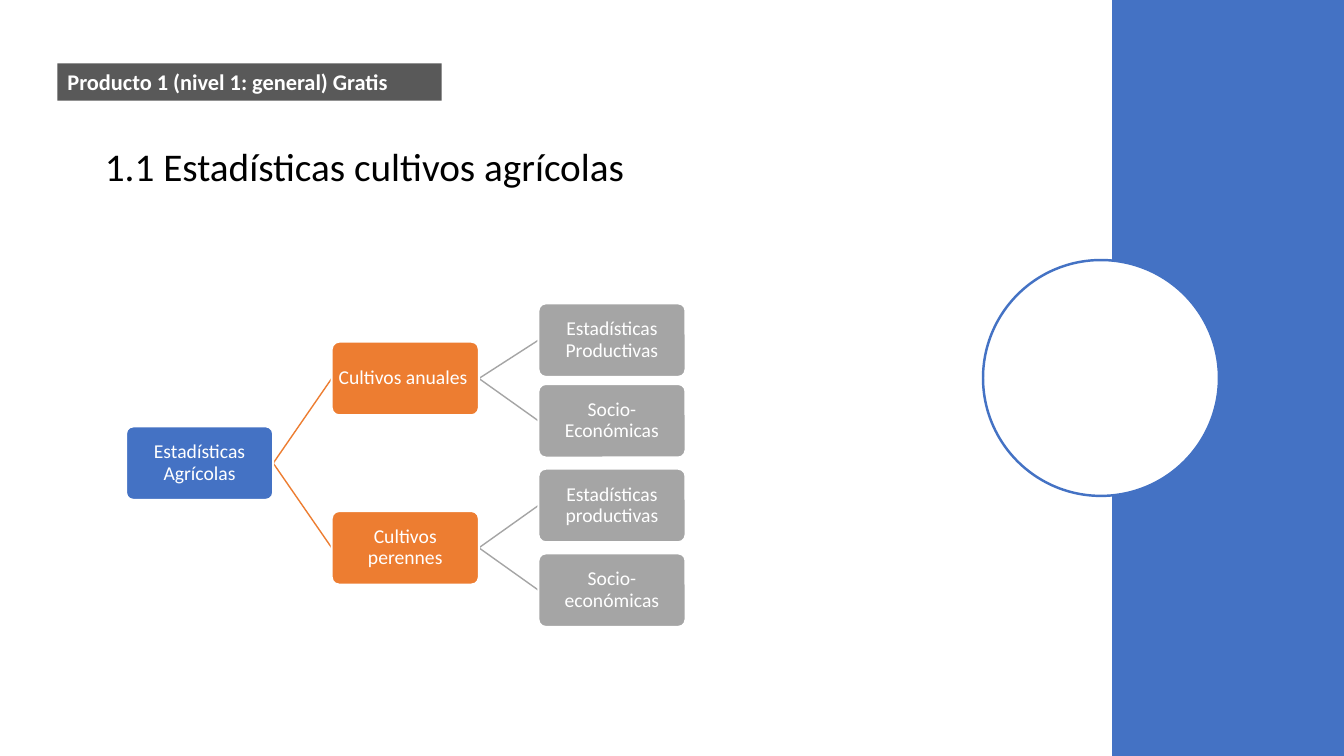
from lxml.etree import SubElement
from pptx import Presentation
from pptx.dml.color import RGBColor
from pptx.enum.shapes import MSO_CONNECTOR, MSO_SHAPE
from pptx.enum.text import MSO_ANCHOR, MSO_AUTO_SIZE, PP_ALIGN
from pptx.oxml.ns import qn
from pptx.util import Inches, Pt

THEME = {
    "font": "Calibri",
    "black": RGBColor.from_string("000000"),
    "white": RGBColor.from_string("FFFFFF"),
    "blue": RGBColor.from_string("4472C4"),
    "orange": RGBColor.from_string("ED7D31"),
    "gray": RGBColor.from_string("A5A5A5"),
    "dark": RGBColor.from_string("595959"),
    "title": Pt(28),
    "label": Pt(16),
    "node": Pt(14),
}


def write(tf, text, size, color="white", bold=False, align=PP_ALIGN.LEFT,
          anchor=MSO_ANCHOR.MIDDLE, spacing=0.9, after=0):
    tf.word_wrap = True
    tf.auto_size = MSO_AUTO_SIZE.NONE
    tf.vertical_anchor = anchor
    p = tf.paragraphs[0]
    p.alignment = align
    p.line_spacing = spacing
    p.space_before = Pt(0)
    p.space_after = Pt(after)
    r = p.add_run()
    r.text = text
    r.font.name = THEME["font"]
    r.font.size = THEME[size]
    r.font.bold = bold
    r.font.color.rgb = THEME[color]


def add_box(s, kind, box, fill, line=None, width=0):
    sp = s.shapes.add_shape(kind, *[Inches(v) for v in box])
    sp.shadow.inherit = False
    sp.fill.solid()
    sp.fill.fore_color.rgb = THEME[fill]
    if line:
        sp.line.color.rgb = THEME[line]
        sp.line.width = Pt(width)
    else:
        sp.line.fill.background()
    return sp


prs = Presentation()
prs.slide_width = Inches(13.33)
prs.slide_height = Inches(7.5)
s = prs.slides.add_slide(prs.slide_layouts[5])

title = s.shapes.title
title.left, title.top = Inches(0.94), Inches(1.23)
title.width, title.height = Inches(8.17), Inches(0.88)
write(title.text_frame, "1.1 Estadísticas cultivos agrícolas", "title", color="black")

add_box(s, MSO_SHAPE.RECTANGLE, (11.03, 0, 2.3, 7.5), "blue")
add_box(s, MSO_SHAPE.OVAL, (9.75, 2.58, 2.34, 2.34), "white", "blue", 1.75)
label = add_box(s, MSO_SHAPE.RECTANGLE, (0.57, 0.63, 3.81, 0.37), "dark")
write(label.text_frame, "Producto 1 (nivel 1: general) Gratis", "label", bold=True,
      anchor=MSO_ANCHOR.TOP, spacing=1.0, after=6)

node_w, node_h = 1.46, 0.73
levels = [(1.25, "blue"), (3.29, "orange"), (5.34, "gray")]
tree = [
    ("Estadísticas Agrícolas", 0, 4.23),
    ("Cultivos anuales ", 1, 3.39),
    ("Estadísticas Productivas", 2, 3.01),
    ("Socio-Económicas", 2, 3.81),
    ("Cultivos perennes", 1, 5.07),
    ("Estadísticas productivas", 2, 4.65),
    ("Socio-económicas", 2, 5.49),
]
right_side, left_side = 3, 1
latest = {}
for text, level, top in tree:
    left, color = levels[level]
    node = add_box(s, MSO_SHAPE.ROUNDED_RECTANGLE, (left, top, node_w, node_h),
                   color, "white", 1.5)
    node.adjustments[0] = 0.1
    tf = node.text_frame
    tf.margin_left = tf.margin_right = Inches(0.03)
    tf.margin_top = tf.margin_bottom = Inches(0.03)
    write(tf, text, "node", align=PP_ALIGN.CENTER)
    latest[level] = node
    if level:
        link = s.shapes.add_connector(MSO_CONNECTOR.STRAIGHT, 0, 0, 0, 0)
        link.begin_connect(latest[level - 1], right_side)
        link.end_connect(node, left_side)
        link.line.color.rgb = THEME[color]
        link.line.width = Pt(1)
        SubElement(link._element.spPr, qn("a:effectLst"))
        title._element.addprevious(link._element)

prs.save("out.pptx")
